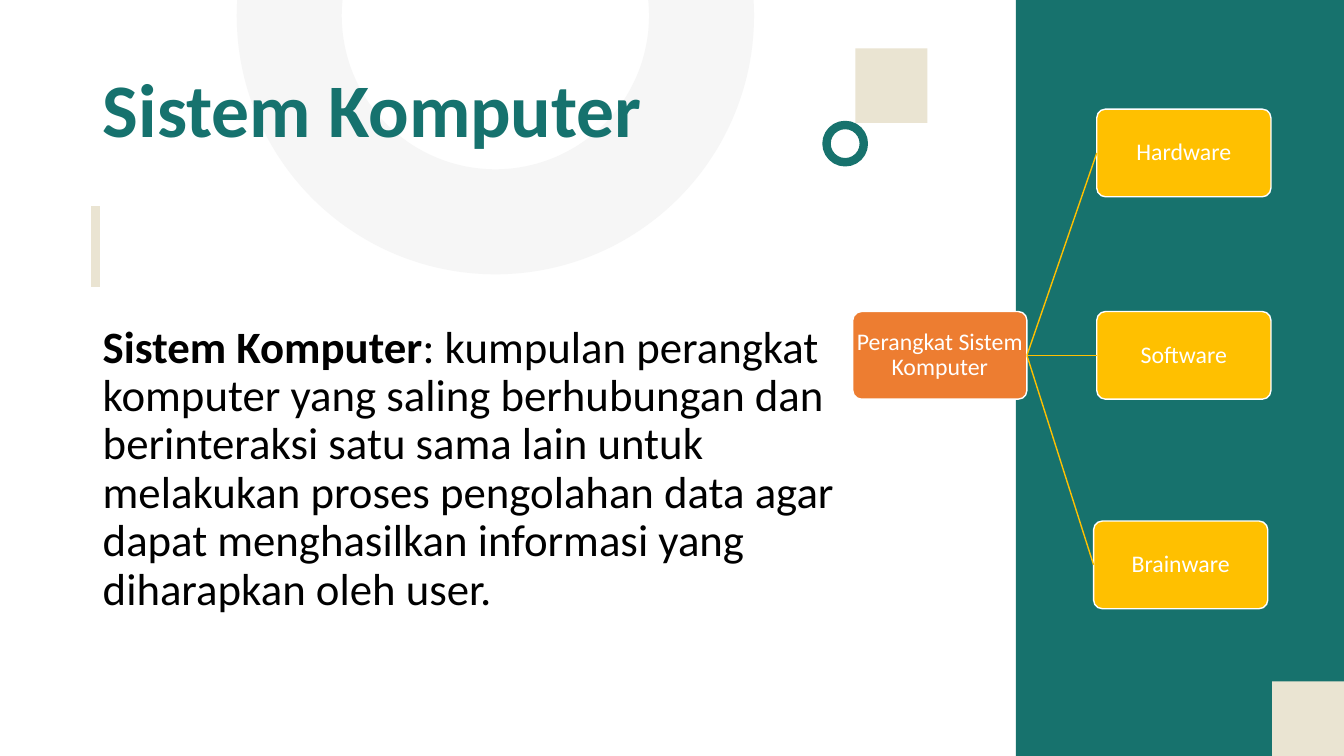
from dataclasses import dataclass

from lxml.etree import SubElement
from pptx import Presentation
from pptx.dml.color import RGBColor
from pptx.enum.shapes import MSO_CONNECTOR, MSO_SHAPE
from pptx.enum.text import MSO_ANCHOR, MSO_AUTO_SIZE, PP_ALIGN
from pptx.oxml.ns import qn
from pptx.shapes.autoshape import Shape
from pptx.shapes.connector import Connector
from pptx.slide import Slide
from pptx.text.text import Font
from pptx.util import Cm, Pt

FONT = "Calibri"
WHITE, BLACK = "FFFFFF", "000000"
TEAL, TITLE_TEAL, BEIGE, PALE_GRAY = "17726D", "16726E", "EAE4D2", "F6F6F6"
ORANGE, AMBER = "ED7D31", "FFC000"
NODE_WIDTH, NODE_HEIGHT = 4.39, 2.21


@dataclass(frozen=True)
class Ring:
    left: float
    top: float
    diameter: float
    color: str
    thickness: float


@dataclass(frozen=True)
class Block:
    left: float
    top: float
    width: float
    height: float
    color: str


@dataclass(frozen=True)
class Node:
    text: str
    left: float
    top: float
    color: str


RINGS = [
    Ring(7.29, -4.8, 10.39, PALE_GRAY, 75),
    Ring(20.83, 3.15, 0.94, TEAL, 6),
]
BLOCKS = [
    Block(25.6, 0, 8.27, 19.05, TEAL),
    Block(32.06, 17.17, 1.81, 1.88, BEIGE),
    Block(21.56, 1.22, 1.81, 1.88, BEIGE),
]
ROOT = Node("Perangkat Sistem Komputer", 21.49, 7.85, ORANGE)
BRANCHES = [
    Node("Hardware", 27.64, 2.75, AMBER),
    Node("Software", 27.64, 7.85, AMBER),
    Node("Brainware", 27.56, 13.13, AMBER),
]


def rgb(color: str) -> RGBColor:
    return RGBColor.from_string(color)


def style_font(font: Font, size: float, color: str) -> None:
    font.name = FONT
    font.size = Pt(size)
    font.color.rgb = rgb(color)


def add_ring(slide: Slide, ring: Ring) -> None:
    diameter = Cm(ring.diameter)
    shape = slide.shapes.add_shape(
        MSO_SHAPE.OVAL, Cm(ring.left), Cm(ring.top), diameter, diameter)
    shape.shadow.inherit = False
    shape.fill.background()
    shape.line.color.rgb = rgb(ring.color)
    shape.line.width = Pt(ring.thickness)


def add_block(slide: Slide, block: Block) -> None:
    shape = slide.shapes.add_shape(
        MSO_SHAPE.RECTANGLE, Cm(block.left), Cm(block.top),
        Cm(block.width), Cm(block.height))
    shape.shadow.inherit = False
    shape.fill.solid()
    shape.fill.fore_color.rgb = rgb(block.color)
    shape.line.fill.background()


def style_connector(connector: Connector, color: str, width: float) -> None:
    connector.line.color.rgb = rgb(color)
    connector.line.width = Pt(width)
    SubElement(connector.element.spPr, qn("a:effectLst"))


def add_accent(slide: Slide) -> None:
    accent = slide.shapes.add_connector(
        MSO_CONNECTOR.STRAIGHT, Cm(2.41), Cm(5.2), Cm(2.41), Cm(7.22))
    style_connector(accent, BEIGE, 6)


def add_title(slide: Slide) -> None:
    title = slide.shapes.title
    title.left, title.top, title.width, title.height = (
        Cm(2.34), Cm(1.02), Cm(17.5), Cm(3.68))
    frame = title.text_frame
    frame.text = "Sistem Komputer"
    frame.auto_size = MSO_AUTO_SIZE.NONE
    frame.vertical_anchor = MSO_ANCHOR.MIDDLE
    paragraph = frame.paragraphs[0]
    paragraph.alignment = PP_ALIGN.LEFT
    paragraph.line_spacing = 0.9
    style_font(paragraph.font, 54, TITLE_TEAL)
    paragraph.font.bold = True
    # Bring the title in front of the large ring.
    title.element.getparent().append(title.element)


def add_definition(slide: Slide) -> None:
    box = slide.shapes.add_textbox(Cm(2.34), Cm(8.05), Cm(20.32), Cm(9.12))
    box.text_frame.word_wrap = True
    paragraph = box.text_frame.paragraphs[0]
    paragraph.line_spacing = 0.9
    paragraph.space_before = Pt(10)
    style_font(paragraph.font, 32, BLACK)
    term = paragraph.add_run()
    term.text = "Sistem Komputer"
    term.font.bold = True
    paragraph.add_run().text = (
        ": kumpulan perangkat komputer yang saling berhubungan dan "
        "berinteraksi satu sama lain untuk melakukan proses pengolahan data "
        "agar dapat menghasilkan informasi yang diharapkan oleh user.")


def add_node(slide: Slide, node: Node) -> Shape:
    shape = slide.shapes.add_shape(
        MSO_SHAPE.ROUNDED_RECTANGLE, Cm(node.left), Cm(node.top),
        Cm(NODE_WIDTH), Cm(NODE_HEIGHT))
    shape.adjustments[0] = 0.1
    shape.shadow.inherit = False
    shape.fill.solid()
    shape.fill.fore_color.rgb = rgb(node.color)
    shape.line.color.rgb = rgb(WHITE)
    shape.line.width = Pt(1)
    frame = shape.text_frame
    frame.word_wrap = True
    frame.vertical_anchor = MSO_ANCHOR.MIDDLE
    frame.margin_left = frame.margin_right = Cm(0.02)
    frame.margin_top = frame.margin_bottom = Cm(0.02)
    frame.text = node.text
    paragraph = frame.paragraphs[0]
    paragraph.alignment = PP_ALIGN.CENTER
    paragraph.line_spacing = 0.9
    style_font(paragraph.font, 17, WHITE)
    return shape


def add_tree(slide: Slide) -> None:
    root = add_node(slide, ROOT)
    for branch in BRANCHES:
        child = add_node(slide, branch)
        connector = slide.shapes.add_connector(
            MSO_CONNECTOR.STRAIGHT, 0, 0, 0, 0)
        connector.begin_connect(root, 3)
        connector.end_connect(child, 1)
        style_connector(connector, AMBER, 1)


def main() -> None:
    presentation = Presentation()
    presentation.slide_width = Cm(33.87)
    presentation.slide_height = Cm(19.05)
    slide = presentation.slides.add_slide(
        presentation.slide_layouts.get_by_name("Title Only"))
    for ring in RINGS:
        add_ring(slide, ring)
    for block in BLOCKS:
        add_block(slide, block)
    add_accent(slide)
    add_title(slide)
    add_definition(slide)
    add_tree(slide)
    presentation.save("out.pptx")


if __name__ == "__main__":
    main()
